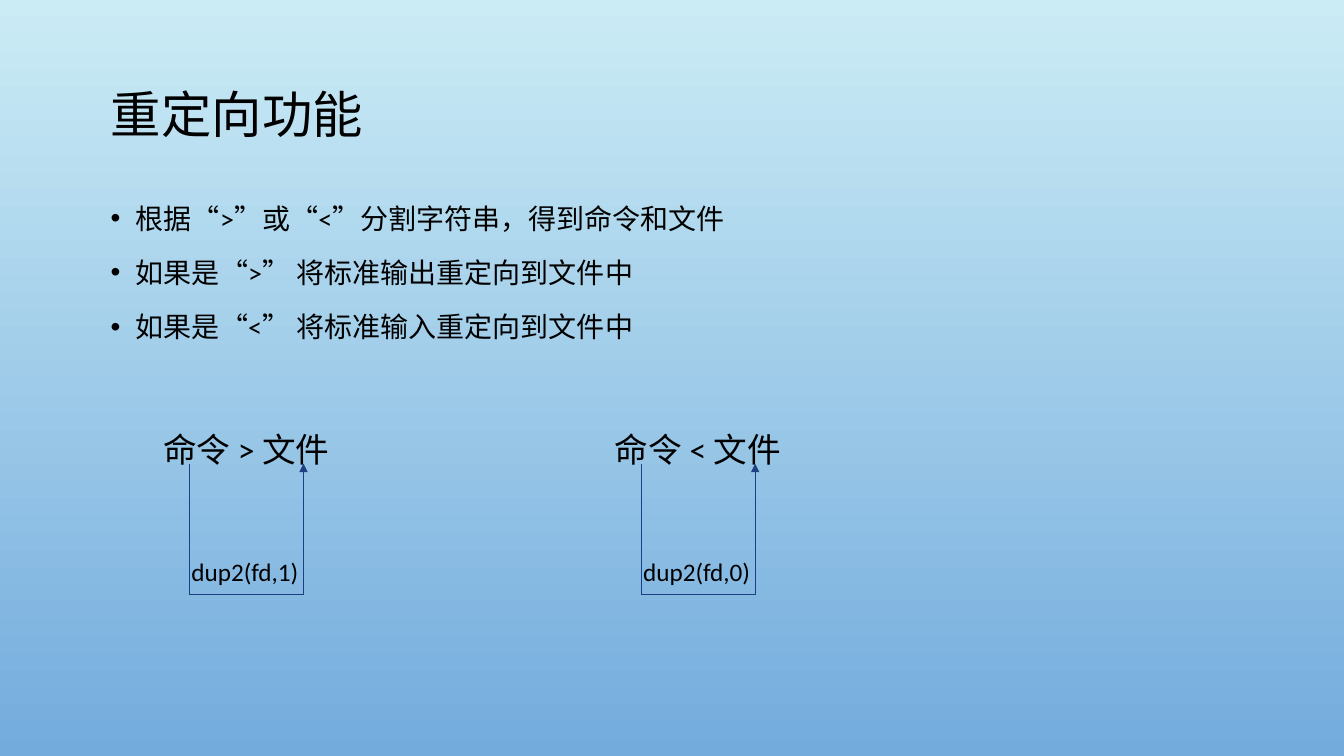
from lxml import etree
from pptx import Presentation
from pptx import util as u
from pptx.dml.color import RGBColor
from pptx.enum import shapes, text
from pptx.oxml.ns import qn

COLORS = {"top": "CBECF5", "bottom": "73ABDD", "ink": "000000", "arrow": "1F3F83"}
FONT = "Calibri"
BULLETS = [
    "根据“>”或“<”分割字符串，得到命令和文件",
    "如果是“>” 将标准输出重定向到文件中",
    "如果是“<” 将标准输入重定向到文件中",
]
REDIRECTS = [(1.52, "命令 > 文件", "dup2(fd,1)"), (6, "命令 < 文件", "dup2(fd,0)")]


def color(name):
    return RGBColor.from_string(COLORS[name])


def set_values(target, values):
    for name, value in values.items():
        setattr(target, name, value)


def paint_background(slide):
    fill = slide.background.fill
    fill.gradient()
    fill.gradient_angle = 270
    for stop, name, position in zip(fill.gradient_stops, ("top", "bottom"), (0, 1)):
        stop.color.rgb = color(name)
        stop.position = position


def write_text(box, lines, size, frame_values, para_values):
    frame = box.text_frame
    set_values(frame, frame_values)
    for index, line in enumerate(lines):
        para = frame.add_paragraph() if index else frame.paragraphs[0]
        set_values(para, para_values)
        span = para.add_run()
        span.text = line
        set_values(span.font, {"size": u.Pt(size), "name": FONT})
        span.font.color.rgb = color("ink")


def add_title(slide, content):
    title = slide.shapes.title
    set_values(title, {
        "left": u.Inches(1), "top": u.Inches(0.68),
        "width": u.Inches(11.33), "height": u.Inches(0.97),
    })
    write_text(
        title, [content], 36,
        {"vertical_anchor": text.MSO_ANCHOR.MIDDLE, "auto_size": text.MSO_AUTO_SIZE.NONE},
        {"alignment": text.PP_ALIGN.LEFT, "line_spacing": 0.9},
    )


def add_text(slide, area, lines, size, wrap=True, para_values=None):
    box = slide.shapes.add_textbox(*map(u.Inches, area))
    write_text(box, lines, size, {"word_wrap": wrap}, para_values or {})
    return box


def add_bullets(slide, lines):
    spacing = {"line_spacing": 1.2, "space_before": u.Pt(10)}
    box = add_text(slide, (1, 1.88, 11.33, 1.73), lines, 20, para_values=spacing)
    indent = u.Inches(0.25)
    for para in box.text_frame.paragraphs:
        props = para._p.get_or_add_pPr()
        props.set("marL", str(indent))
        props.set("indent", str(-indent))
        etree.SubElement(props, qn("a:buFont"), typeface="Arial")
        etree.SubElement(props, qn("a:buChar"), char="•")


def add_line(slide, start, end, arrow=False):
    line = slide.shapes.add_connector(
        shapes.MSO_CONNECTOR.STRAIGHT, *map(u.Inches, start + end))
    line.line.width = u.Pt(0.75)
    line.line.color.rgb = color("arrow")
    if arrow:
        etree.SubElement(line.line._get_or_add_ln(), qn("a:tailEnd"), type="triangle")
    etree.SubElement(line._element.spPr, qn("a:effectLst"))


def add_redirect(slide, left, command, call):
    add_text(slide, (left, 4.21, 2.28, 0.5), [command], 24)
    add_text(slide, (left + 0.28, 5.47, 1.28, 0.4), [call], 18, wrap=False)
    start, end, top, bottom = left + 0.36, left + 1.49, 4.6, 5.9
    corners = [(start, top), (start, bottom), (end, bottom), (end, top)]
    for here, there in zip(corners, corners[1:]):
        add_line(slide, here, there, arrow=there == corners[-1])


def main():
    deck = Presentation()
    set_values(deck, {"slide_width": u.Inches(13.33), "slide_height": u.Inches(7.5)})
    slide = deck.slides.add_slide(deck.slide_layouts[5])
    paint_background(slide)
    add_title(slide, "重定向功能")
    add_bullets(slide, BULLETS)
    for left, command, call in REDIRECTS:
        add_redirect(slide, left, command, call)
    deck.save("out.pptx")


if __name__ == "__main__":
    main()
